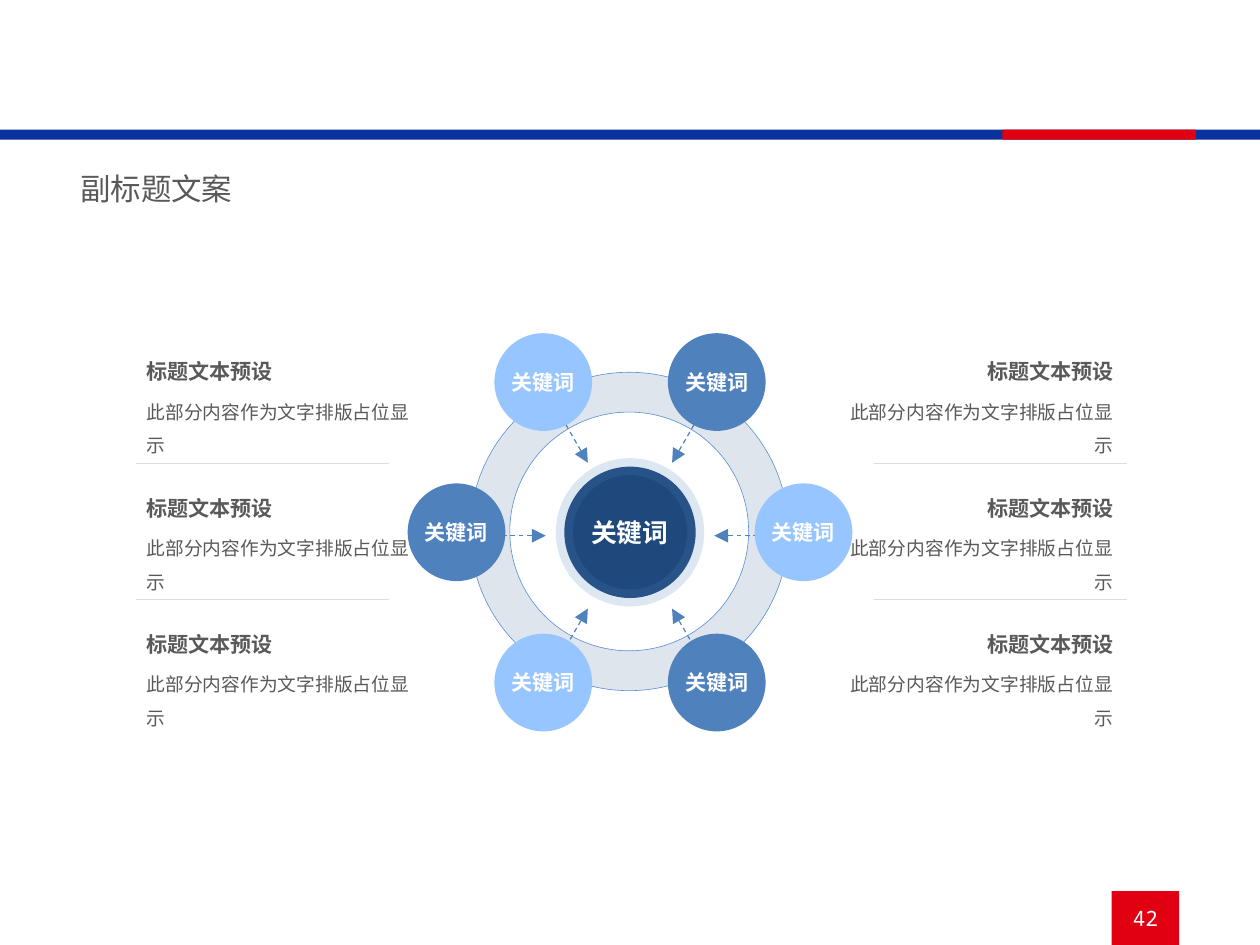
from math import cos, radians, sin

from lxml import etree
from pptx import Presentation
from pptx.dml.color import RGBColor
from pptx.enum import dml, shapes, text
from pptx.oxml import ns
from pptx.util import Inches, Pt

SANS, MONO = "Noto Sans CJK SC", "Noto Sans Mono"
RED, NAVY, BLUE, SKY = "E10011", "1F497D", "4F81BD", "96C5FF"
GRAY, WHITE = "595959", "FFFFFF"
LEFT, CENTER, RIGHT = text.PP_ALIGN.LEFT, text.PP_ALIGN.CENTER, text.PP_ALIGN.RIGHT

presentation = Presentation()
presentation.slide_width, presentation.slide_height = Inches(7.48), Inches(5.61)
slide = presentation.slides.add_slide(presentation.slide_layouts[6])


def add_item(box, content="", size=9, color=GRAY, font=SANS, bold=False,
             align=LEFT, preset=None, fill=None, inset=None, wrap=True):
    """Add a filled preset shape, or a text box when no preset is given."""
    box = [Inches(value) for value in box]
    if preset is None:
        shape = slide.shapes.add_textbox(*box)
    else:
        shape = slide.shapes.add_shape(preset, *box)
        shape.shadow.inherit = False
        shape.fill.solid()
        shape.fill.fore_color.rgb = RGBColor.from_string(fill)
        shape.line.fill.background()
    if content:
        frame = shape.text_frame
        frame.text = content
        frame.word_wrap = wrap
        if preset is not None:
            frame.vertical_anchor = text.MSO_ANCHOR.MIDDLE
        if inset is not None:
            frame.margin_left = frame.margin_right = Inches(inset)
            frame.margin_top = frame.margin_bottom = Inches(inset)
        paragraph = frame.paragraphs[0]
        paragraph.alignment = align
        run = paragraph.runs[0]
        run.font.name, run.font.size, run.font.bold = font, Pt(size), bold
        run.font.color.rgb = RGBColor.from_string(color)
        east_asian = etree.SubElement(run._r.get_or_add_rPr(), ns.qn("a:ea"))
        east_asian.set("typeface", SANS)
    return shape


def add_line(start, end, color, arrow=False):
    points = [Inches(value) for value in (*start, *end)]
    line = slide.shapes.add_connector(shapes.MSO_CONNECTOR.STRAIGHT, *points)
    line.line.width = Pt(0.5)
    line.line.color.rgb = RGBColor.from_string(color)
    if arrow:
        line.line.dash_style = dml.MSO_LINE.DASH
        tail = etree.SubElement(line.line._get_or_add_ln(), ns.qn("a:tailEnd"))
        tail.set("type", "triangle")
    etree.SubElement(line._element.spPr, ns.qn("a:effectLst"))


RECTANGLE = shapes.MSO_SHAPE.RECTANGLE
OVAL = shapes.MSO_SHAPE.OVAL

# Page frame
add_item((6.6, 5.29, 0.4, 0.32), "42", color=WHITE, font=MONO, align=CENTER,
         preset=RECTANGLE, fill=RED)
add_item((0, 0.77, 7.48, 0.06), preset=RECTANGLE, fill="0A319D")
add_item((5.95, 0.77, 1.15, 0.06), preset=RECTANGLE, fill=RED)
add_item((0.38, 0.96, 1.58, 0.33), "副标题文案", size=13)

# Ring and hub
ring = add_item((2.79, 2.21, 1.89, 1.89), preset=shapes.MSO_SHAPE.DONUT, fill=NAVY)
ring.adjustments[0] = 0.125
ring.line.color.rgb = RGBColor.from_string("558ED5")
ring.line.width = Pt(0.25)

hub = add_item((3.35, 2.77, 0.78, 0.78), "关键词", size=11, color=WHITE, bold=True,
               align=CENTER, preset=OVAL, fill=NAVY, inset=0, wrap=False)
hub.line.color.rgb = RGBColor.from_string(BLUE)
hub.line.width = Pt(7.25)

ring_color = ring._element.spPr.find(ns.qn("a:solidFill"))[0]
hub_line_color = hub.line._get_or_add_ln().find(ns.qn("a:solidFill"))[0]
for color, opacity in ((ring_color, 14), (hub_line_color, 18)):
    etree.SubElement(color, ns.qn("a:alpha")).set("val", str(opacity * 1000))

# Six keywords around the hub, each pointing at it
center_x, center_y, arrow_y = 3.74, 3.16, 3.18
diameter, orbit = 0.58, 1.03
angles = [radians(degrees) for degrees in range(180, 540, 60)]

for angle in angles:
    start, end = [(center_x + radius * cos(angle), arrow_y + radius * sin(angle))
                  for radius in (0.81, 0.5)]
    add_line(start, end, BLUE, arrow=True)

for angle, fill in zip(angles, (BLUE, SKY, BLUE, SKY, BLUE, SKY)):
    left = center_x + orbit * cos(angle) - diameter / 2
    top = center_y + orbit * sin(angle) - diameter / 2
    add_item((left, top, diameter, diameter), "关键词", color=WHITE, bold=True,
             align=CENTER, preset=OVAL, fill=fill, inset=0.04, wrap=False)

# Descriptions on both sides
row_step = 0.81
for text_left, rule_left, align in ((5.01, 5.19, RIGHT), (0.87, 0.81, LEFT)):
    for row in range(3):
        offset = row * row_step
        add_item((text_left, 2.13 + offset, 1.6, 0.15), "标题文本预设",
                 font=MONO, bold=True, align=align, inset=0)
        body = add_item((text_left, 2.31 + offset, 1.6, 0.38),
                        "此部分内容作为文字排版占位显示",
                        size=8, font=MONO, align=align, inset=0)
        body.text_frame.paragraphs[0].line_spacing = 1.5
        if row < 2:
            rule_y = 2.75 + offset
            add_line((rule_left, rule_y), (rule_left + 1.5, rule_y), "DEDEDE")

presentation.save("out.pptx")
